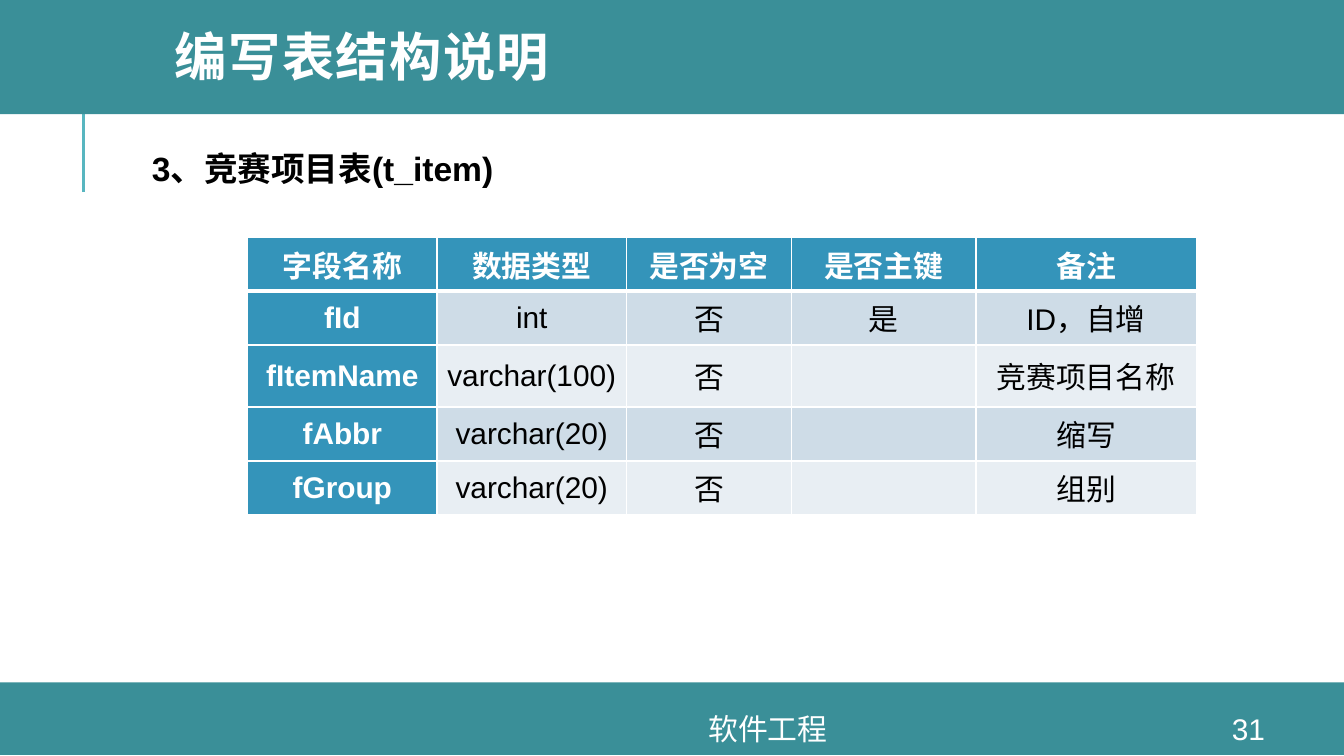
"""Build the slide that describes the contest item table."""
import pptx
import pptx.dml.color
import pptx.enum.shapes
import pptx.enum.text
import pptx.oxml
import pptx.oxml.ns
import pptx.util

Cm, Pt = pptx.util.Cm, pptx.util.Pt
ALIGN = pptx.enum.text.PP_ALIGN
MID = pptx.enum.text.MSO_ANCHOR.MIDDLE

TITLE = "编写表结构说明"
HEAD = "3、竞赛项目表(t_item)"
FOOT = "软件工程"
PAGE = "31"
ROWS = [
    ["字段名称", "数据类型", "是否为空", "是否主键", "备注"],
    ["fId", "int", "否", "是", "ID，自增"],
    ["fItemName", "varchar(100)", "否", "", "竞赛项目名称"],
    ["fAbbr", "varchar(20)", "否", "", "缩写"],
    ["fGroup", "varchar(20)", "否", "", "组别"],
]
WIDTHS = [3.58, 3.58, 3.12, 3.48, 4.17]
HEIGHTS = [1.02, 1.02, 1.17, 1.02, 1.02]
BANDS = [(0, 12.9, 25.4, 1.37), (0, -0.08, 25.4, 2.24)]
THEME = {
    "font": "Arial", "title": 28, "head": 18, "text": 16,
    "band": "3A8F98", "rule": "58B6C0", "key": "3494BA",
    "odd": "CEDCE7", "even": "E8EEF3", "white": "FFFFFF", "black": "000000",
}


def tint(name):
    return pptx.dml.color.RGBColor.from_string(THEME[name])


def paint(fill, name):
    fill.solid()
    fill.fore_color.rgb = tint(name)


def write(frame, text, size, color, bold=False, align=ALIGN.CENTER):
    frame.text = text
    para = frame.paragraphs[0]
    para.alignment = align
    for run in para.runs:
        run.font.name = THEME["font"]
        run.font.size = Pt(THEME[size])
        run.font.bold = bold
        run.font.color.rgb = tint(color)
    return para


def add_text(slide, box, *style, **more):
    frame = slide.shapes.add_textbox(*map(Cm, box)).text_frame
    frame.word_wrap = True
    frame.vertical_anchor = MID
    write(frame, *style, **more)
    return frame


def edge(cell, side, width):
    line = pptx.oxml.parse_xml(
        f'<a:{side} {pptx.oxml.ns.nsdecls("a")} w="{Pt(width)}"><a:solidFill>'
        f'<a:srgbClr val="{THEME["white"]}"/></a:solidFill></a:{side}>')
    cell._tc.get_or_add_tcPr().append(line)


def add_bands(slide):
    rule = slide.shapes.add_connector(
        pptx.enum.shapes.MSO_CONNECTOR.STRAIGHT, Cm(1.58), Cm(3.63), Cm(1.58), Cm(1.73))
    rule.line.color.rgb = tint("rule")
    rule.line.width = Pt(1.5)
    rule.element.spPr.append(
        pptx.oxml.parse_xml(f'<a:effectLst {pptx.oxml.ns.nsdecls("a")}/>'))
    for box in BANDS:
        band = slide.shapes.add_shape(
            pptx.enum.shapes.MSO_SHAPE.RECTANGLE, *map(Cm, box))
        band.shadow.inherit = False
        paint(band.fill, "band")
        band.line.fill.background()


def add_title(slide):
    title = slide.shapes.title
    title.left, title.top, title.width, title.height = map(Cm, (3.05, 0, 21.56, 2.31))
    frame = title.text_frame
    frame.auto_size = pptx.enum.text.MSO_AUTO_SIZE.NONE
    frame.vertical_anchor = MID
    para = write(frame, TITLE, "title", "white", True, ALIGN.LEFT)
    para.line_spacing = 0.8
    para.runs[0].font._element.set("spc", "80")
    slide.shapes._spTree.append(title.element)


def add_grid(slide):
    table = slide.shapes.add_table(
        len(ROWS), len(WIDTHS), Cm(4.68), Cm(4.48),
        Cm(sum(WIDTHS)), Cm(sum(HEIGHTS))).table
    for col, width in zip(table.columns, WIDTHS):
        col.width = Cm(width)
    for row, height in zip(table.rows, HEIGHTS):
        row.height = Cm(height)
    for i, row in enumerate(ROWS):
        for j, text in enumerate(row):
            cell = table.cell(i, j)
            key = i == 0 or j == 0
            cell.vertical_anchor = MID
            cell.margin_left = cell.margin_right = Cm(0.15)
            cell.margin_top = cell.margin_bottom = 0
            write(cell.text_frame, text, "text", "white" if key else "black", key)
            for side in ("lnL", "lnR", "lnT", "lnB"):
                thick = (i, side) in ((0, "lnB"), (1, "lnT"))
                edge(cell, side, 3 if thick else 1)
            paint(cell.fill, "key" if key else "odd" if i % 2 else "even")


def main():
    deck = pptx.Presentation()
    deck.slide_width, deck.slide_height = Cm(25.4), Cm(14.29)
    slide = deck.slides.add_slide(deck.slide_layouts[5])
    add_bands(slide)
    add_title(slide)
    add_text(slide, (22.58, 13.49, 2.03, 0.58), PAGE, "text", "white")
    add_grid(slide)
    head = add_text(slide, (2.69, 2.44, 7.19, 1.47), HEAD, "head", "black", True,
                    align=ALIGN.LEFT)
    head.word_wrap = False
    head.vertical_anchor = pptx.enum.text.MSO_ANCHOR.TOP
    head.auto_size = pptx.enum.text.MSO_AUTO_SIZE.SHAPE_TO_FIT_TEXT
    head.margin_left = head.margin_right = Cm(0.18)
    head.margin_top = head.margin_bottom = Cm(0.36)
    add_text(slide, (6.63, 13.49, 15.77, 0.58), FOOT, "text", "white")
    deck.save("out.pptx")


if __name__ == "__main__":
    main()
